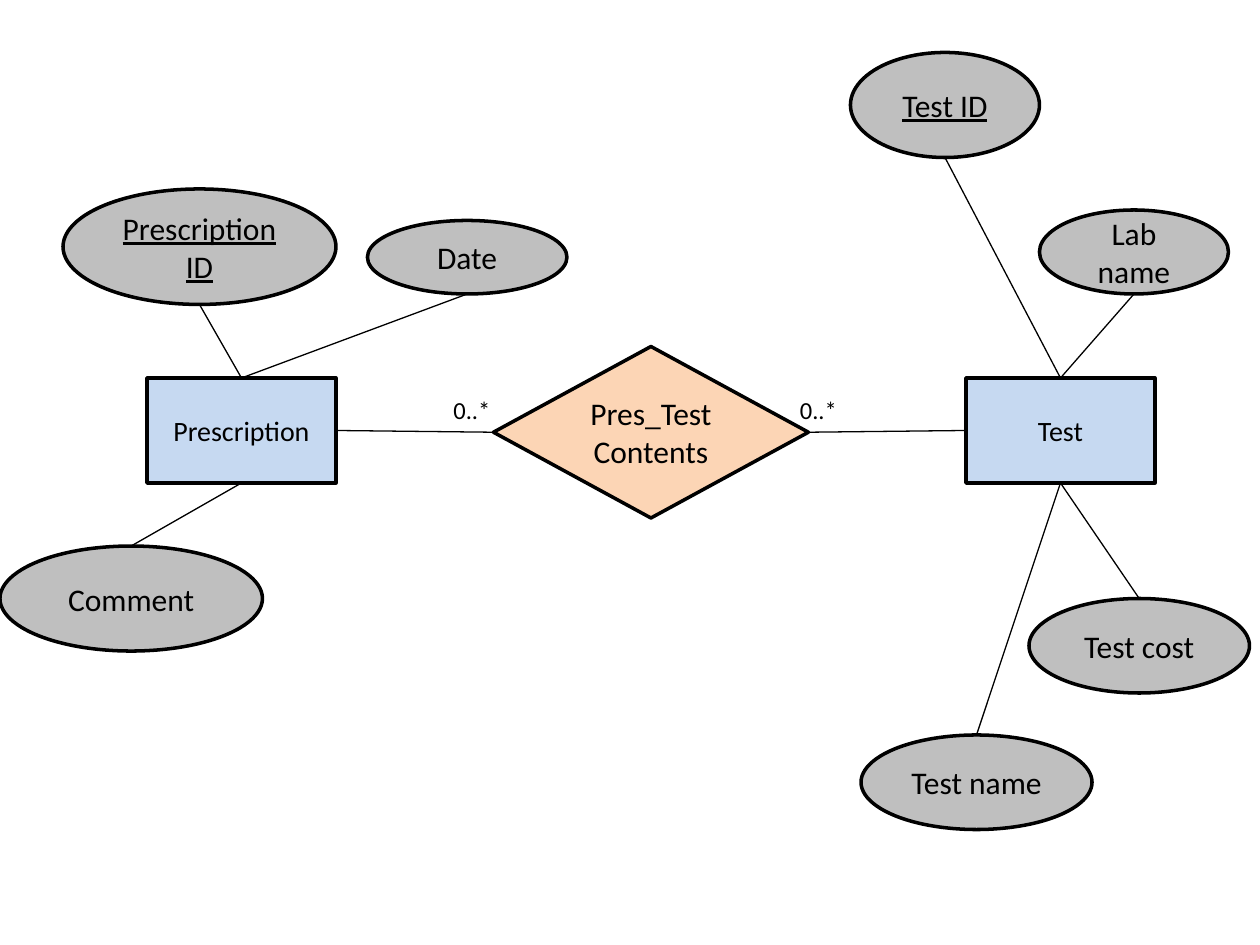
"""Build an entity-relationship slide linking prescriptions and tests."""
from typing import NamedTuple

from lxml.etree import SubElement
from pptx import Presentation
from pptx.dml.color import RGBColor
from pptx.enum.shapes import MSO_CONNECTOR, MSO_SHAPE
from pptx.enum.text import MSO_ANCHOR, MSO_AUTO_SIZE, PP_ALIGN
from pptx.oxml.ns import qn
from pptx.slide import Slide
from pptx.text.text import _Paragraph as Paragraph
from pptx.util import Pt

BLACK = RGBColor(0x00, 0x00, 0x00)
ENTITY_BLUE = RGBColor(0xC6, 0xD9, 0xF1)
RELATION_ORANGE = RGBColor(0xFC, 0xD5, 0xB5)
ATTRIBUTE_GRAY = RGBColor(0xBF, 0xBF, 0xBF)
FONT = "Calibri"

Point = tuple[float, float]


class Style(NamedTuple):
    outline: MSO_SHAPE
    fill: RGBColor
    size: int


class Node(NamedTuple):
    text: str
    style: Style
    left: float
    top: float
    width: float
    height: float
    is_key: bool = False

    def at(self, across: float, down: float) -> Point:
        return self.left + across * self.width, self.top + down * self.height


class Attribute(NamedTuple):
    node: Node
    owner: Node


class Label(NamedTuple):
    text: str
    left: float
    top: float


ENTITY = Style(MSO_SHAPE.RECTANGLE, ENTITY_BLUE, 16)
RELATION = Style(MSO_SHAPE.FLOWCHART_DECISION, RELATION_ORANGE, 18)
ATTRIBUTE = Style(MSO_SHAPE.OVAL, ATTRIBUTE_GRAY, 18)

PRESCRIPTION = Node("Prescription", ENTITY, 84, 216, 108, 60)
TEST = Node("Test", ENTITY, 552, 216, 108, 60)
CONTENTS = Node("Pres_Test Contents", RELATION, 282, 198, 180, 98)

ATTRIBUTES = [
    Attribute(Node("Prescription ID", ATTRIBUTE, 36, 108, 156, 66, True), PRESCRIPTION),
    Attribute(Node("Date", ATTRIBUTE, 210, 126, 114, 42), PRESCRIPTION),
    Attribute(Node("Comment", ATTRIBUTE, 0, 312, 150, 60), PRESCRIPTION),
    Attribute(Node("Test ID", ATTRIBUTE, 486, 30, 108, 60, True), TEST),
    Attribute(Node("Lab name", ATTRIBUTE, 594, 120, 108, 48), TEST),
    Attribute(Node("Test cost", ATTRIBUTE, 588, 342, 126, 54), TEST),
    Attribute(Node("Test name", ATTRIBUTE, 492, 420, 132, 54), TEST),
]
CARDINALITIES = [Label("0..*", 252, 222), Label("0..*", 450, 222)]


def add_text(paragraph: Paragraph, text: str, size: int, underline: bool = False) -> None:
    """Add one black run to the paragraph."""
    run = paragraph.add_run()
    run.text = text
    run.font.name = FONT
    run.font.size = Pt(size)
    run.font.color.rgb = BLACK
    if underline:
        run.font.underline = True


def add_node(slide: Slide, node: Node) -> None:
    """Draw an entity, relation or attribute with its centred name."""
    shape = slide.shapes.add_shape(
        node.style.outline, Pt(node.left), Pt(node.top), Pt(node.width), Pt(node.height)
    )
    shape.shadow.inherit = False
    shape.fill.solid()
    shape.fill.fore_color.rgb = node.style.fill
    shape.line.color.rgb = BLACK
    shape.line.width = Pt(2)
    frame = shape.text_frame
    frame.word_wrap = True
    frame.vertical_anchor = MSO_ANCHOR.MIDDLE
    paragraph = frame.paragraphs[0]
    paragraph.alignment = PP_ALIGN.CENTER
    add_text(paragraph, node.text, node.style.size, node.is_key)


def add_link(slide: Slide, start: Point, end: Point) -> None:
    """Draw a thin straight line between two points."""
    connector = slide.shapes.add_connector(
        MSO_CONNECTOR.STRAIGHT, *(Pt(value) for value in (*start, *end))
    )
    connector.line.color.rgb = BLACK
    connector.line.width = Pt(0.75)
    SubElement(connector._element.spPr, qn("a:effectLst"))


def add_attribute(slide: Slide, attribute: Attribute) -> None:
    """Draw an attribute and link it to the facing side of its owner."""
    node, owner = attribute
    add_node(slide, node)
    if node.top < owner.top:
        add_link(slide, node.at(0.5, 1), owner.at(0.5, 0))
    else:
        add_link(slide, owner.at(0.5, 1), node.at(0.5, 0))


def add_label(slide: Slide, label: Label) -> None:
    """Write a cardinality beside the relation."""
    box = slide.shapes.add_textbox(Pt(label.left), Pt(label.top), Pt(36), Pt(24.5))
    frame = box.text_frame
    frame.word_wrap = False
    frame.auto_size = MSO_AUTO_SIZE.SHAPE_TO_FIT_TEXT
    add_text(frame.paragraphs[0], label.text, 14)


def main() -> None:
    """Build and save the presentation."""
    presentation = Presentation()
    presentation.slide_width, presentation.slide_height = Pt(720), Pt(540)
    slide = presentation.slides.add_slide(presentation.slide_layouts[6])
    for node in (PRESCRIPTION, TEST, CONTENTS):
        add_node(slide, node)
    add_link(slide, PRESCRIPTION.at(1, 0.5), CONTENTS.at(0, 0.5))
    add_link(slide, CONTENTS.at(1, 0.5), TEST.at(0, 0.5))
    for attribute in ATTRIBUTES:
        add_attribute(slide, attribute)
    for label in CARDINALITIES:
        add_label(slide, label)
    presentation.save("out.pptx")


if __name__ == "__main__":
    main()
